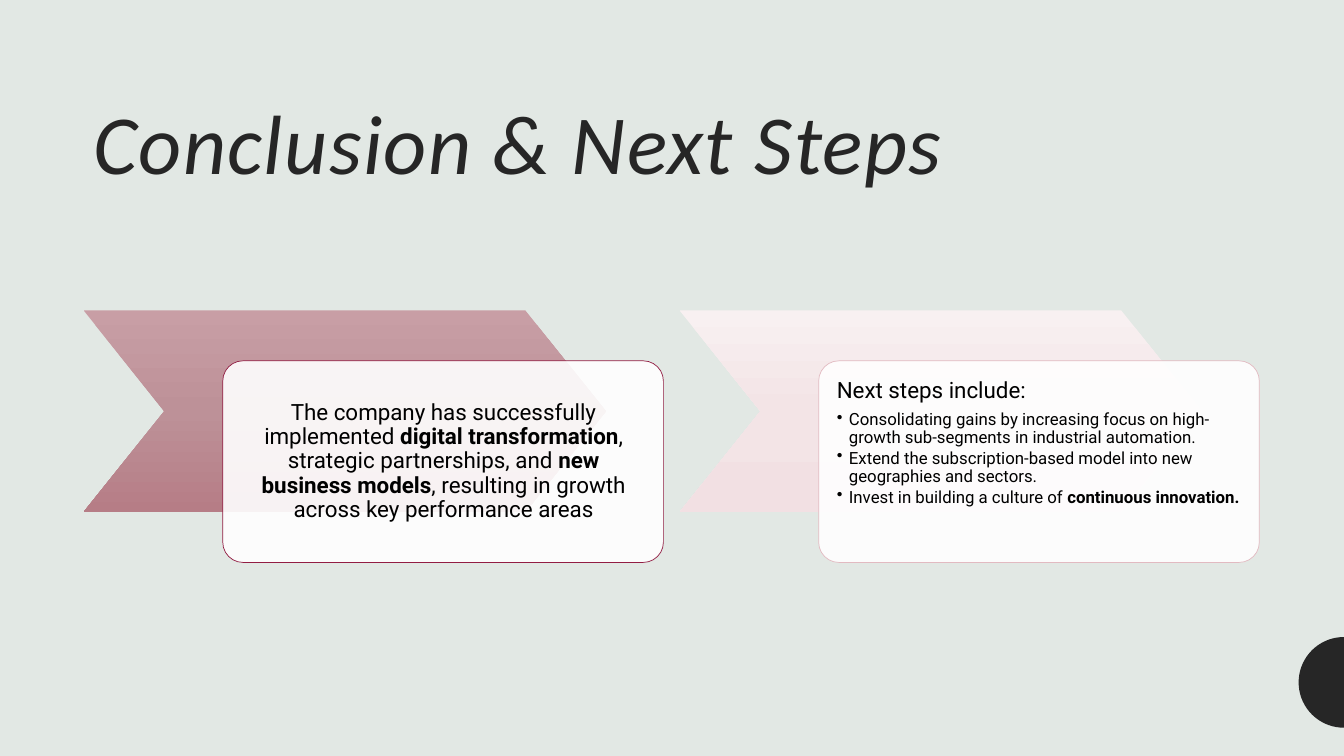
import math

import lxml.etree
import pptx
import pptx.dml.color
import pptx.enum.dml
import pptx.enum.shapes
import pptx.enum.text
import pptx.oxml.ns
import pptx.util

Inches = pptx.util.Inches
Pt = pptx.util.Pt
qn = pptx.oxml.ns.qn
Shape = pptx.enum.shapes.MSO_SHAPE
Align = pptx.enum.text.PP_ALIGN
Anchor = pptx.enum.text.MSO_ANCHOR

WIDTH, HEIGHT = 13.33, 7.5
COLORS = {
    "background": "E2E8E4",
    "ink": "262626",
    "text": "000000",
    "card": "FFFFFF",
}
FORMATS = {
    "title": {"size": Pt(60), "name": "Calibri", "italic": True},
    "lead": {"size": Pt(16), "name": "Roboto"},
    "bullet": {"size": Pt(12), "name": "Roboto"},
}
SPACE_AFTER = {"title": 0, "lead": 5.6, "bullet": 1.8}

# A paragraph is a format name and its runs, each with a bold flag.
STEPS = [
    {
        "gradient": {0: "C89EA5", 50: "BD9198", 100: "B67D86"},
        "border": "921D43",
        "anchor": Anchor.MIDDLE,
        "align": Align.CENTER,
        "paragraphs": [
            ("lead", [
                ("The company has successfully implemented ", False),
                ("digital transformation", True),
                (", strategic partnerships, and ", False),
                ("new business models", True),
                (", resulting in growth across key performance areas", False),
            ]),
        ],
    },
    {
        "gradient": {0: "F8F0F1", 50: "F3E4E6", 100: "F2E0E3"},
        "border": "E2BAC1",
        "anchor": Anchor.TOP,
        "align": Align.LEFT,
        "paragraphs": [
            ("lead", [("Next steps include:", False)]),
            ("bullet", [("Consolidating gains by increasing focus on high-growth "
                         "sub-segments in industrial automation.", False)]),
            ("bullet", [("Extend the subscription-based model into new "
                         "geographies and sectors.", False)]),
            ("bullet", [("Invest in building a culture of ", False),
                        ("continuous innovation.", True)]),
        ],
    },
]


def rgb(value):
    return pptx.dml.color.RGBColor.from_string(value)


def add_bullet(paragraph):
    properties = paragraph._p.get_or_add_pPr()
    properties.set("lvl", "1")
    properties.set("marL", str(Inches(0.12)))
    properties.set("indent", str(-Inches(0.12)))
    lxml.etree.SubElement(properties, qn("a:buChar")).set("char", "•")


class SlideBuilder:
    def __init__(self, slide, colors, formats):
        self.slide = slide
        self.shapes = slide.shapes
        self.colors = colors
        self.formats = formats

    def background(self):
        fill = self.slide.background.fill
        fill.solid()
        fill.fore_color.rgb = rgb(self.colors["background"])

    def preset(self, kind, box, adjustment):
        shape = self.shapes.add_shape(kind, *map(Inches, box))
        shape.shadow.inherit = False
        shape.adjustments[0] = adjustment
        return shape

    def chevron(self, box, gradient):
        """Add a chevron shaded from top to bottom; gradient maps percent to colour."""
        shape = self.preset(Shape.CHEVRON, box, 0.4)
        shape.line.fill.background()
        shape.fill.gradient()
        shape.fill.gradient_angle = 270
        stops = shape._element.spPr.find(".//" + qn("a:gsLst"))
        for stop in list(stops):
            stops.remove(stop)
        for percent, color in gradient.items():
            stop = lxml.etree.SubElement(stops, qn("a:gs"))
            stop.set("pos", str(percent * 1000))
            lxml.etree.SubElement(stop, qn("a:srgbClr")).set("val", color)

    def card(self, box, border):
        """Add a rounded white card, 90% opaque."""
        shape = self.preset(Shape.ROUNDED_RECTANGLE, box, 0.1)
        shape.fill.solid()
        shape.fill.fore_color.rgb = rgb(self.colors["card"])
        color = shape._element.spPr.find(qn("a:solidFill"))[0]
        lxml.etree.SubElement(color, qn("a:alpha")).set("val", "90000")
        shape.line.color.rgb = rgb(border)
        shape.line.width = Pt(0.5)

    def half_disc(self, center_x, center_y, radius):
        """Add the left half of a disc."""
        points = []
        for degrees in range(90, 271, 5):
            angle = math.radians(degrees)
            points.append((Inches(center_x + radius * math.cos(angle)),
                           Inches(center_y - radius * math.sin(angle))))
        builder = self.shapes.build_freeform(*points[0])
        builder.add_line_segments(points[1:], close=True)
        shape = builder.convert_to_shape()
        shape.shadow.inherit = False
        shape.fill.solid()
        shape.fill.fore_color.rgb = rgb(self.colors["ink"])
        shape.line.fill.background()

    def text(self, box, paragraphs, color, anchor, align=Align.LEFT, margins=(0.1, 0.05)):
        frame = self.shapes.add_textbox(*map(Inches, box)).text_frame
        horizontal, vertical = map(Inches, margins)
        frame_values = {
            "word_wrap": True, "vertical_anchor": anchor,
            "margin_left": horizontal, "margin_right": horizontal,
            "margin_top": vertical, "margin_bottom": vertical,
        }
        for name, value in frame_values.items():
            setattr(frame, name, value)
        for index, (style, runs) in enumerate(paragraphs):
            paragraph = frame.add_paragraph() if index else frame.paragraphs[0]
            paragraph_values = {
                "alignment": align, "line_spacing": 0.9,
                "space_after": Pt(SPACE_AFTER[style]),
            }
            for name, value in paragraph_values.items():
                setattr(paragraph, name, value)
            if style == "bullet":
                add_bullet(paragraph)
            for words, bold in runs:
                run = paragraph.add_run()
                run.text = words
                for name, value in {**self.formats[style], "bold": bold}.items():
                    setattr(run.font, name, value)
                run.font.color.rgb = rgb(self.colors[color])
                if style == "title":
                    run._r.get_or_add_rPr().set("spc", "100")


def main():
    presentation = pptx.Presentation()
    presentation.slide_width = Inches(WIDTH)
    presentation.slide_height = Inches(HEIGHT)
    slide = presentation.slides.add_slide(presentation.slide_layouts[6])
    builder = SlideBuilder(slide, COLORS, FORMATS)

    builder.background()
    builder.text((0.83, 0.46, 11.67, 1.5),
                 [("title", [("Conclusion & Next Steps", False)])],
                 "ink", Anchor.BOTTOM)
    builder.half_disc(WIDTH, 6.77, 0.45)

    for index, step in enumerate(STEPS):
        left, top = 0.83 + index * 5.91, 3.08
        card_left, card_top = left + 1.38, top + 0.5
        builder.chevron((left, top, 5.18, 2), step["gradient"])
        builder.card((card_left, card_top, 4.37, 2), step["border"])
        builder.text((card_left + 0.06, card_top + 0.06, 4.26, 1.88),
                     step["paragraphs"], "text", step["anchor"], step["align"],
                     margins=(0.12, 0.12))

    presentation.save("out.pptx")


if __name__ == "__main__":
    main()
